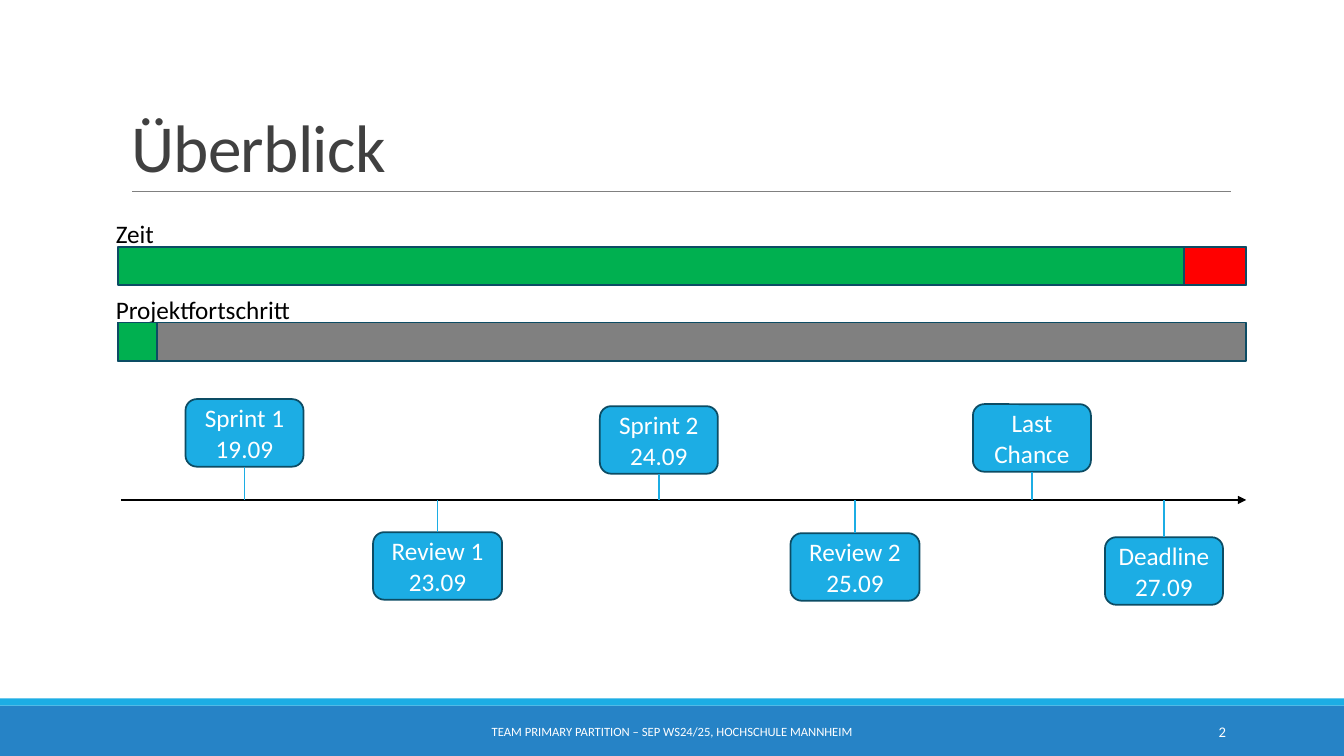
from lxml import etree
from pptx import Presentation
from pptx.dml.color import RGBColor
from pptx.enum import shapes, text
from pptx.oxml import ns
from pptx.util import Inches, Pt

TITLE = "Überblick"
FOOTER = "TEAM PRIMARY PARTITION – SEP WS24/25, HOCHSCHULE MANNHEIM"
PAGE_NUMBER = "2"
FONT = "Calibri"
BLUE, DARK_BLUE, OUTLINE = "1CADE4", "2683C6", "0C4C64"
GREEN, RED, GRAY = "00B050", "FF0000", "808080"
WHITE, BLACK, TITLE_COLOR = "FFFFFF", "000000", "404040"

BAR_LEFT, BAR_WIDTH, BAR_HEIGHT = 1.17, 11.19, 0.38
BARS = [
    ("Zeit", 2.45, [(0, BAR_WIDTH, GREEN), (10.57, 0.62, RED)]),
    ("Projektfortschritt", 3.2, [(0, BAR_WIDTH, GRAY), (0, 0.39, GREEN)]),
]

AXIS_LEFT, AXIS_RIGHT, AXIS_Y = 1.2, 12.36, 4.96
MILESTONE_HEIGHT = 0.67
MILESTONES = [
    (["Sprint 1", "19.09"], 1.84, 3.96, 1.17),
    (["Review 1", "23.09"], 3.7, 5.28, 1.28),
    (["Sprint 2", "24.09"], 5.95, 4.03, 1.17),
    (["Review 2", "25.09"], 7.84, 5.29, 1.28),
    (["Last Chance"], 9.65, 4.01, 1.17),
    (["Deadline", "27.09"], 10.96, 5.33, 1.17),
]


def color(value):
    return RGBColor.from_string(value)


def write(frame, lines, size=18, fill=BLACK, align=text.PP_ALIGN.LEFT,
          anchor=text.MSO_ANCHOR.TOP, line_spacing=None, tracking=None):
    frame.word_wrap = True
    frame.auto_size = text.MSO_AUTO_SIZE.NONE
    frame.vertical_anchor = anchor
    for index, line in enumerate(lines):
        paragraph = frame.add_paragraph() if index else frame.paragraphs[0]
        paragraph.alignment = align
        paragraph.line_spacing = line_spacing
        run = paragraph.add_run()
        run.text = line
        run.font.name = FONT
        run.font.size = Pt(size)
        run.font.color.rgb = color(fill)
        if tracking is not None:
            run._r.get_or_add_rPr().set("spc", str(round(tracking * 100)))


def add_box(slide, kind, left, top, width, height, fill, outline=None):
    shape = slide.shapes.add_shape(
        kind, Inches(left), Inches(top), Inches(width), Inches(height))
    shape.shadow.inherit = False
    shape.fill.solid()
    shape.fill.fore_color.rgb = color(fill)
    if outline:
        shape.line.color.rgb = color(outline)
        shape.line.width = Pt(1.25)
    else:
        shape.line.fill.background()
    return shape


def add_label(slide, line, left, top, width, **style):
    label = slide.shapes.add_textbox(
        Inches(left), Inches(top), Inches(width), Inches(0.4))
    write(label.text_frame, [line], **style)


def add_line(slide, start, end, stroke, width=1, arrow=False):
    connector = slide.shapes.add_connector(
        shapes.MSO_CONNECTOR.STRAIGHT, *map(Inches, start + end))
    connector.line.color.rgb = color(stroke)
    connector.line.width = Pt(width)
    if arrow:
        etree.SubElement(connector.line._get_or_add_ln(),
                         ns.qn("a:tailEnd"), type="triangle")
    etree.SubElement(connector._element.spPr, ns.qn("a:effectLst"))
    return connector


def add_frame(slide):
    rectangle = shapes.MSO_SHAPE.RECTANGLE
    add_box(slide, rectangle, 0, 7, 13.33, 0.5, DARK_BLUE)
    add_box(slide, rectangle, 0, 6.93, 13.33, 0.07, BLUE)
    add_line(slide, (1.31, 1.9), (12.21, 1.9), GRAY, width=0.5)
    title = slide.shapes.title
    title.left, title.top = Inches(1.2), Inches(0.31)
    title.width, title.height = Inches(11), Inches(1.59)
    write(title.text_frame, [TITLE], size=48, fill=TITLE_COLOR,
          anchor=text.MSO_ANCHOR.BOTTOM, line_spacing=0.85, tracking=-0.5)
    middle = text.MSO_ANCHOR.MIDDLE
    add_label(slide, FOOTER, 4.03, 7.06, 5.27, size=9, fill=WHITE,
              align=text.PP_ALIGN.CENTER, anchor=middle)
    add_label(slide, PAGE_NUMBER, 10.83, 7.06, 1.43, size=10.5, fill=WHITE,
              align=text.PP_ALIGN.RIGHT, anchor=middle)


def add_bars(slide):
    for name, top, segments in BARS:
        add_label(slide, name, 1.05, top - 0.33, 6.63)
        for offset, width, fill in segments:
            add_box(slide, shapes.MSO_SHAPE.RECTANGLE, BAR_LEFT + offset, top,
                    width, BAR_HEIGHT, fill, OUTLINE)


def add_timeline(slide):
    add_line(slide, (AXIS_LEFT, AXIS_Y), (AXIS_RIGHT, AXIS_Y), BLACK, arrow=True)
    for lines, left, top, width in MILESTONES:
        milestone = add_box(slide, shapes.MSO_SHAPE.ROUNDED_RECTANGLE, left, top,
                            width, MILESTONE_HEIGHT, BLUE, OUTLINE)
        write(milestone.text_frame, lines, fill=WHITE,
              align=text.PP_ALIGN.CENTER, anchor=text.MSO_ANCHOR.MIDDLE)
        center = left + width / 2
        above = top < AXIS_Y
        edge = top + MILESTONE_HEIGHT if above else top
        stem = add_line(slide, (center, edge), (center, AXIS_Y), BLUE)
        stem.begin_connect(milestone, 2 if above else 0)


def main():
    presentation = Presentation()
    presentation.slide_width = Inches(13.33)
    presentation.slide_height = Inches(7.5)
    slide = presentation.slides.add_slide(presentation.slide_layouts[5])
    add_frame(slide)
    add_bars(slide)
    add_timeline(slide)
    presentation.save("out.pptx")


if __name__ == "__main__":
    main()
